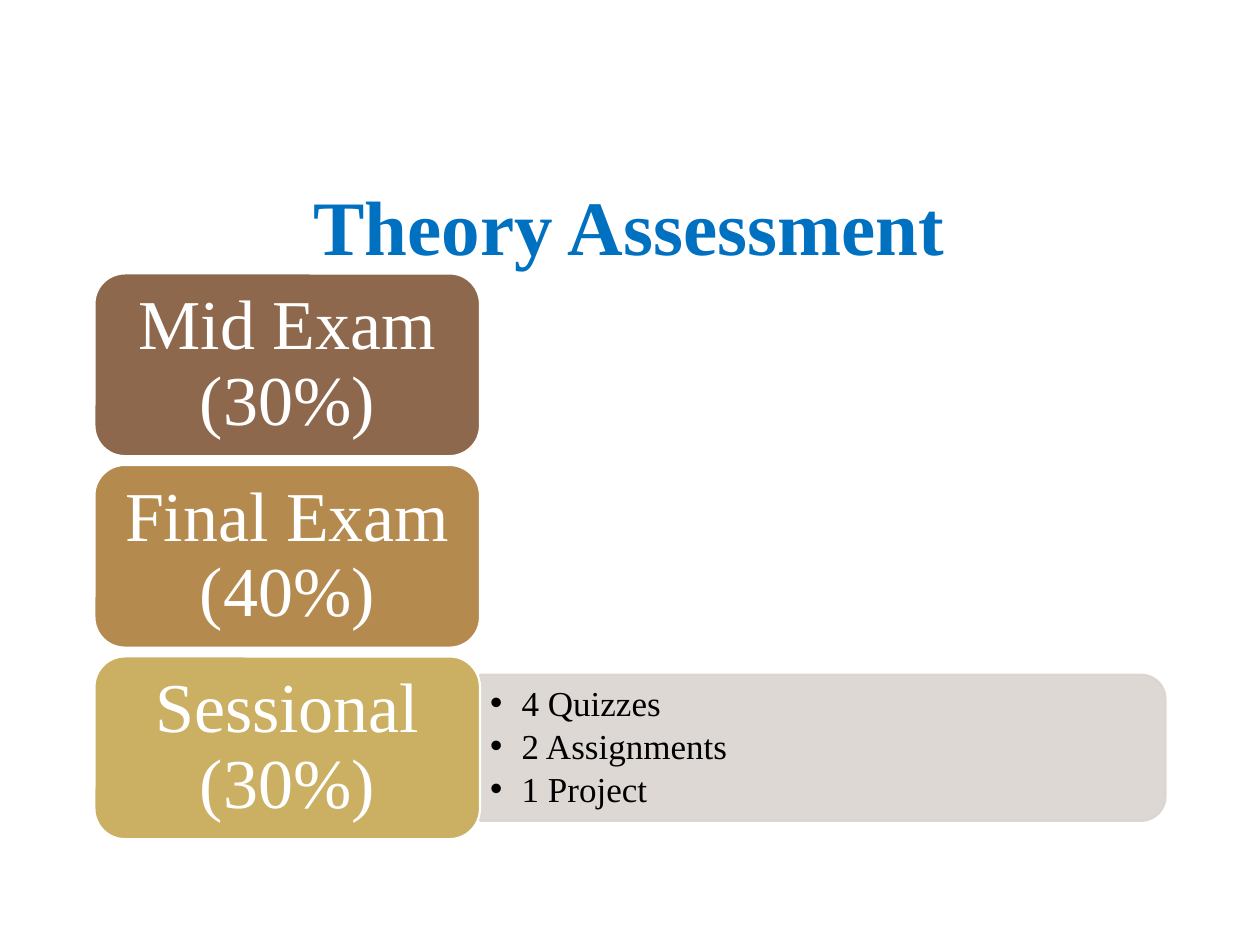
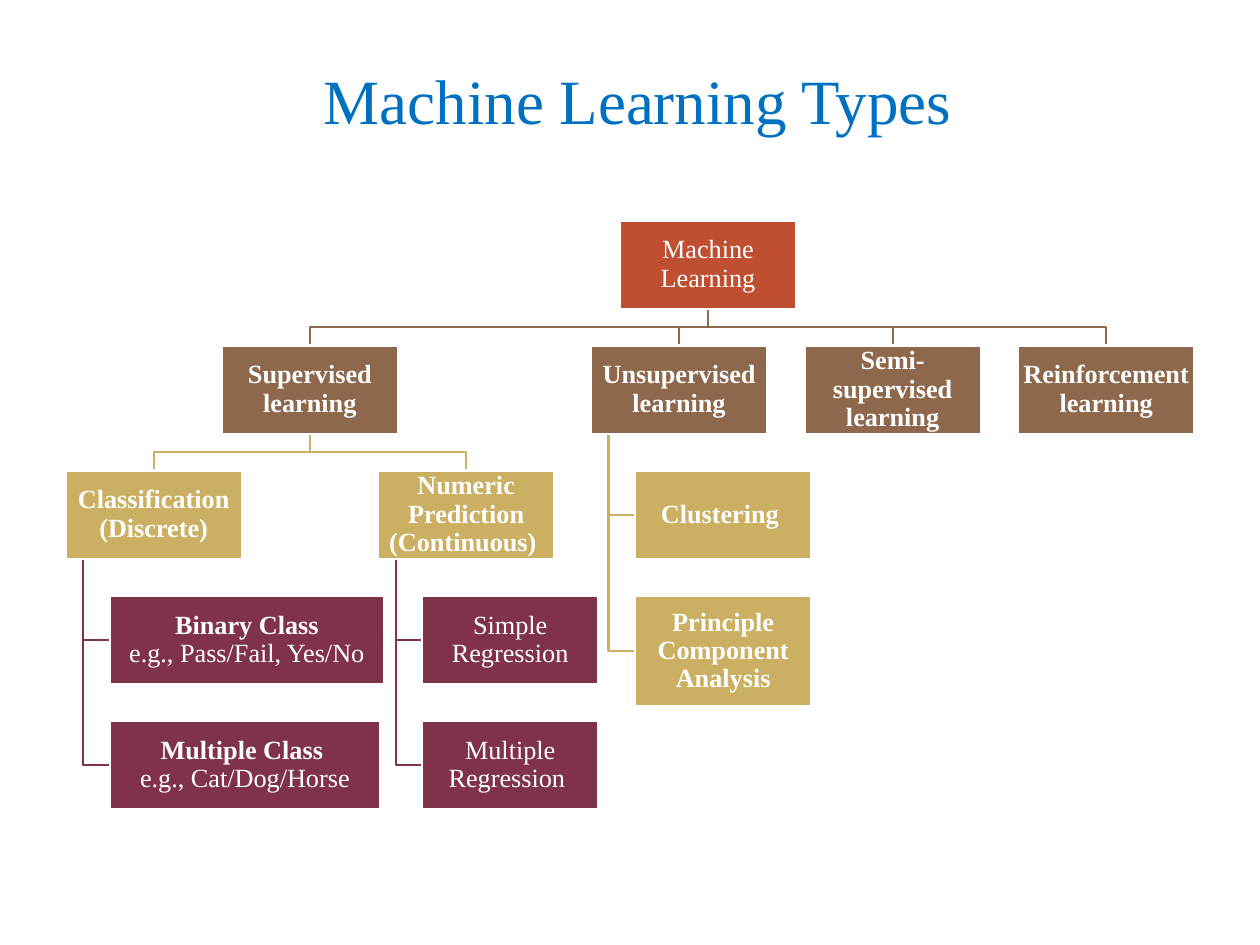
from dataclasses import dataclass

from lxml.etree import SubElement
from pptx import Presentation
from pptx.dml.color import RGBColor
from pptx.enum.shapes import MSO_SHAPE
from pptx.enum.text import MSO_ANCHOR, PP_ALIGN
from pptx.oxml.ns import qn
from pptx.util import Inches, Pt


@dataclass(frozen=True)
class Theme:
    font: str = "Times New Roman"
    title: str = "0070C0"
    white: str = "FFFFFF"
    black: str = "000000"
    rust: str = "C04F32"
    brown: str = "8E684C"
    bronze: str = "B48A4F"
    gold: str = "CBAF62"
    wine: str = "803348"
    band: str = "DBD4D0"
    band_opacity: int = 90
    outline: float = 1.25
    spacing: float = 0.9
    big_title: int = 44
    title_size: int = 36
    exam_size: int = 40
    detail_size: int = 20
    node_size: int = 15


THEME = Theme()


@dataclass
class Node:
    text: str
    left: float
    row: int
    color: str
    bold: bool = True
    width: float = 1.4
    height: float = 0.7

    @property
    def top(self):
        first_top, last_top, last_row = 1.75, 5.72, 4
        return first_top + self.row * (last_top - first_top) / last_row

    @property
    def bottom(self):
        return self.top + self.height

    @property
    def center(self):
        return self.left + self.width / 2

    @property
    def middle(self):
        return self.top + self.height / 2


def rgb(color):
    return RGBColor.from_string(color)


def style_paragraph(para, size, color, bold=False, align=PP_ALIGN.CENTER, spacing=THEME.spacing):
    para.alignment = align
    para.line_spacing = spacing
    for index, span in enumerate(para.runs):
        span.font.name = THEME.font
        span.font.size = Pt(size)
        span.font.color.rgb = rgb(color)
        span.font.bold = bold and index == 0


def set_frame(frame, side, edge):
    frame.word_wrap = True
    frame.vertical_anchor = MSO_ANCHOR.MIDDLE
    frame.margin_left = frame.margin_right = Inches(side)
    frame.margin_top = frame.margin_bottom = Inches(edge)


def add_title(page, text, place, size, bold=False):
    box = page.shapes.add_textbox(*map(Inches, place))
    set_frame(box.text_frame, 0.1, 0.05)
    box.text_frame.text = text
    style_paragraph(box.text_frame.paragraphs[0], size, THEME.title, bold, spacing=1.0)


def add_panel(page, kind, place, fill, line=THEME.white):
    panel = page.shapes.add_shape(kind, *map(Inches, place))
    panel.shadow.inherit = False
    panel.fill.solid()
    panel.fill.fore_color.rgb = rgb(fill)
    panel.line.color.rgb = rgb(line)
    panel.line.width = Pt(THEME.outline)
    return panel


def add_label(panel, text, size, bold, side, edge):
    set_frame(panel.text_frame, side, edge)
    panel.text_frame.text = text
    style_paragraph(panel.text_frame.paragraphs[0], size, THEME.white, bold)


def add_bullet(para):
    properties = para._p.get_or_add_pPr()
    properties.set("marL", str(Inches(0.25)))
    properties.set("indent", str(-Inches(0.25)))
    SubElement(properties, qn("a:buFont"), typeface="Arial")
    SubElement(properties, qn("a:buChar"), char="•")


def add_band(page, left, top, width, height):
    turned_left = left + (width - height) / 2
    turned_top = top + (height - width) / 2
    band = add_panel(page, MSO_SHAPE.ROUND_2_SAME_RECTANGLE,
                     (turned_left, turned_top, height, width), THEME.band, THEME.band)
    band.rotation = 90
    for color in band._element.spPr.iter(qn("a:srgbClr")):
        SubElement(color, qn("a:alpha"), val=str(THEME.band_opacity * 1000))


def add_details(page, place, lines):
    box = page.shapes.add_textbox(*map(Inches, place))
    set_frame(box.text_frame, 0.08, 0.04)
    box.text_frame.text = "\n".join(lines)
    for para in box.text_frame.paragraphs:
        add_bullet(para)
        style_paragraph(para, THEME.detail_size, THEME.black, align=PP_ALIGN.LEFT)
        para.space_after = Pt(0.15 * THEME.detail_size)


def add_path(page, points, color):
    start, *others = [(Inches(x), Inches(y)) for x, y in points]
    builder = page.shapes.build_freeform(*start)
    builder.add_line_segments(others, close=False)
    path = builder.convert_to_shape()
    path.shadow.inherit = False
    path.fill.background()
    path.line.color.rgb = rgb(color)
    path.line.width = Pt(THEME.outline)


def add_fork(page, parent, children):
    for child in children:
        turn = (parent.bottom + child.top) / 2
        add_path(page, [(parent.center, parent.bottom), (parent.center, turn),
                        (child.center, turn), (child.center, child.top)], child.color)


def add_hanger(page, parent, children):
    trunk = parent.left + 0.1 * parent.width
    for child in children:
        add_path(page, [(trunk, parent.bottom), (trunk, child.middle),
                        (child.left, child.middle)], child.color)


def add_node(page, node):
    panel = add_panel(page, MSO_SHAPE.RECTANGLE,
                      (node.left, node.top, node.width, node.height), node.color)
    add_label(panel, node.text, THEME.node_size, node.bold, 0.01, 0.01)


def hang(parent, row, text, color, **options):
    return Node(text, parent.left + 0.25 * parent.width, row, color, **options)


def build_assessment(page):
    add_title(page, "Theory Assessment", (1.06, 1.07, 7.87, 1.43), THEME.big_title, True)
    left, top, width, height, step = 0.75, 2.17, 3.06, 1.45, 1.52
    exams = [("Mid Exam (30%)", THEME.brown, []),
             ("Final Exam (40%)", THEME.bronze, []),
             ("Sessional (30%)", THEME.gold, ["4 Quizzes", "2 Assignments", "1 Project"])]
    for row, (text, color, details) in enumerate(exams):
        row_top = top + row * step
        if details:
            band_height = 0.8 * height
            add_band(page, left + width, row_top + 0.1 * height, 5.44, band_height)
            add_details(page, (left + width, row_top + 0.2, 5.38, 1.05), details)
        panel = add_panel(page, MSO_SHAPE.ROUNDED_RECTANGLE, (left, row_top, width, height), color)
        add_label(panel, text, THEME.exam_size, False, 0.17, 0.08)


def build_types(page):
    brown, gold, wine = THEME.brown, THEME.gold, THEME.wine
    classes = Node("Classification (Discrete)", 0.52, 2, gold)
    numeric = Node("Numeric Prediction (Continuous) ", 3.0, 2, gold)
    supervised = Node("Supervised learning", (classes.left + numeric.left) / 2, 1, brown)
    others = [Node(text, 4.69 + column * 1.695, 1, brown) for column, text in enumerate(
        ["Unsupervised learning", "Semi-supervised learning", "Reinforcement learning"])]
    unsupervised = others[0]
    root = Node("Machine Learning", (supervised.left + others[-1].left) / 2, 0, THEME.rust, bold=False)

    forks = [(root, [supervised, *others]), (supervised, [classes, numeric])]
    hangers = [
        (classes, [hang(classes, 3, "Binary Class\ve.g., Pass/Fail, Yes/No", wine, width=2.18),
                   hang(classes, 4, "Multiple Class \ve.g., Cat/Dog/Horse", wine, width=2.15)]),
        (numeric, [hang(numeric, 3, "Simple Regression", wine, bold=False),
                   hang(numeric, 4, "Multiple Regression ", wine, bold=False)]),
        (unsupervised, [hang(unsupervised, 2, "Clustering ", gold),
                        hang(unsupervised, 3, "Principle Component Analysis", gold, height=0.88)]),
    ]
    for parent, children in forks:
        add_fork(page, parent, children)
    for parent, children in hangers:
        add_hanger(page, parent, children)
    add_node(page, root)
    for parent, children in forks + hangers:
        for child in children:
            add_node(page, child)
    add_title(page, "Machine Learning Types", (0.25, 0.25, 9.62, 1.08), THEME.title_size)


def main():
    deck = Presentation()
    deck.slide_width, deck.slide_height = Inches(10), Inches(7.5)
    for build in (build_assessment, build_types):
        build(deck.slides.add_slide(deck.slide_layouts[6]))
    deck.save("out.pptx")


if __name__ == "__main__":
    main()
